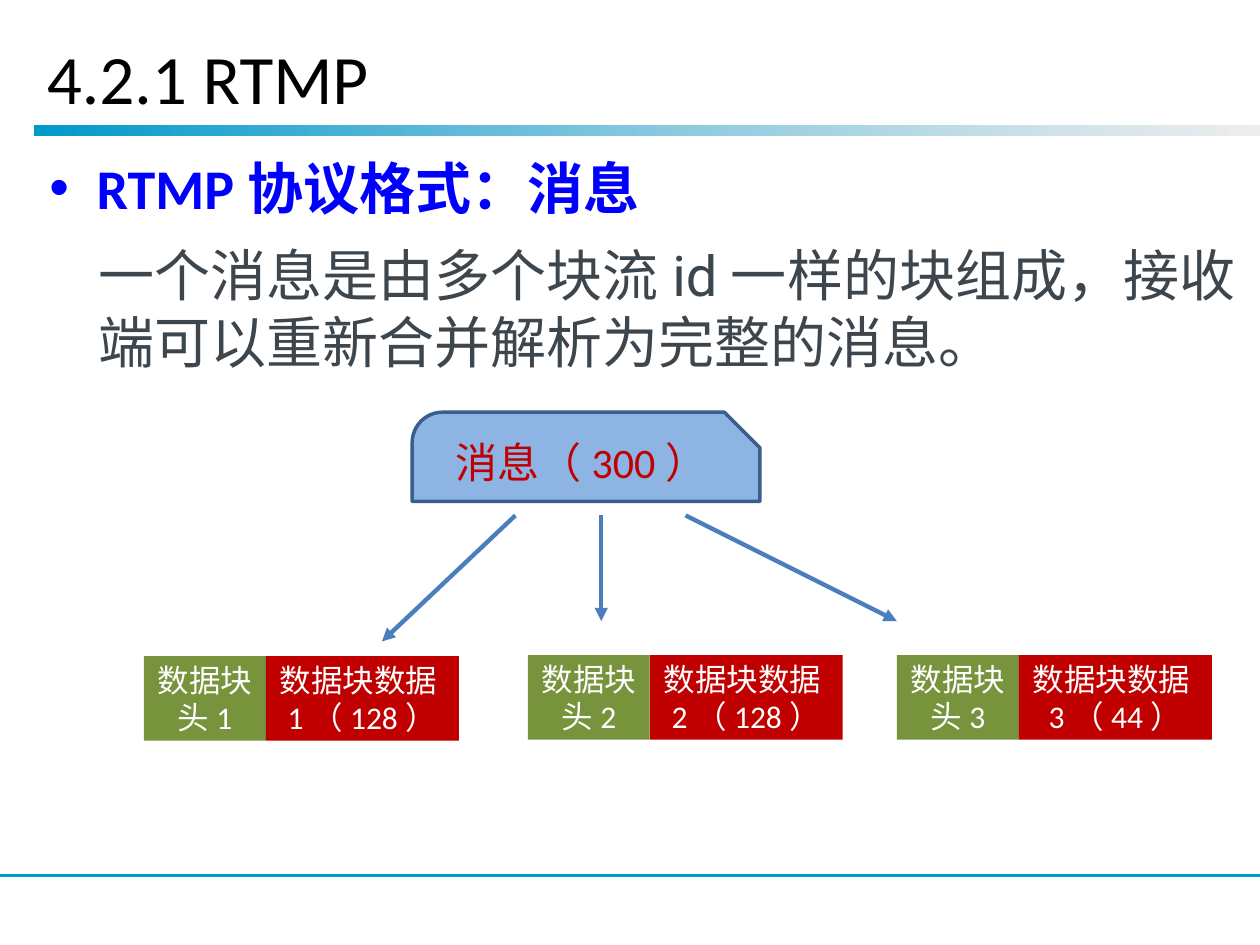
from lxml import etree
from pptx import Presentation
from pptx.dml.color import RGBColor
from pptx.enum.shapes import MSO_CONNECTOR, MSO_SHAPE
from pptx.enum.text import MSO_ANCHOR, MSO_AUTO_SIZE, PP_ALIGN
from pptx.oxml.ns import qn
from pptx.util import Cm, Pt

STRAIGHT = MSO_CONNECTOR.STRAIGHT
RECTANGLE = MSO_SHAPE.RECTANGLE
SNIP_ROUND = MSO_SHAPE.SNIP_ROUND_RECTANGLE
TOP, MIDDLE = MSO_ANCHOR.TOP, MSO_ANCHOR.MIDDLE
LEFT, CENTER = PP_ALIGN.LEFT, PP_ALIGN.CENTER
NO_AUTOFIT = MSO_AUTO_SIZE.NONE

COLORS = {
    "title": "000000",
    "heading": "0000FF",
    "body": "3D464D",
    "rule": "0099CC",
    "rule_end": "E8E8E8",
    "message": "8EB4E3",
    "message_line": "3A5F8C",
    "accent": "C00000",
    "header": "77933C",
    "arrow": "4B7EBC",
    "light": "FFFFFF",
}
BLOCKS = [
    (2.9, 13.23, "1", "128"),
    (10.64, 13.21, "2", "128"),
    (18.08, 13.21, "3", "44"),
]
ARROWS = [
    ((10.39, 10.39), (7.7, 12.93)),
    ((12.12, 10.39), (12.12, 12.52)),
    ((13.82, 10.39), (18.08, 12.52)),
]
HEADER_WIDTH, DATA_WIDTH, BLOCK_HEIGHT = 2.46, 3.89, 1.7


def rgb(name):
    return RGBColor.from_string(COLORS[name])


def write(holder, text, size, color, align=LEFT, anchor=TOP, font="Calibri", bold=False):
    frame = holder.text_frame
    frame.word_wrap = True
    frame.vertical_anchor = anchor
    frame.text = text
    paragraph = frame.paragraphs[0]
    paragraph.alignment = align
    paragraph.font.name = font
    paragraph.font.size = Pt(size)
    paragraph.font.bold = bold
    paragraph.font.color.rgb = rgb(color)
    return paragraph


def place(holder, left, top, width, height):
    holder.left, holder.top = Cm(left), Cm(top)
    holder.width, holder.height = Cm(width), Cm(height)
    holder.text_frame.auto_size = NO_AUTOFIT


def add_box(slide, kind, left, top, width, height, fill):
    box = slide.shapes.add_shape(kind, Cm(left), Cm(top), Cm(width), Cm(height))
    box.shadow.inherit = False
    box.fill.solid()
    box.fill.fore_color.rgb = rgb(fill)
    box.line.fill.background()
    return box


def add_line(slide, start, end, color, weight, arrow=False):
    line = slide.shapes.add_connector(STRAIGHT, *map(Cm, start + end))
    line.line.color.rgb = rgb(color)
    line.line.width = Pt(weight)
    etree.SubElement(line.element.spPr, qn("a:effectLst"))
    if arrow:
        etree.SubElement(line.line._get_or_add_ln(), qn("a:tailEnd"), type="triangle")


def add_title_rule(slide):
    rule = add_box(slide, RECTANGLE, 0.69, 2.53, 24.71, 0.2, "rule")
    rule.fill.gradient()
    rule.fill.gradient_angle = 0
    for stop, position, color in zip(rule.fill.gradient_stops, (0, 1), ("rule", "rule_end")):
        stop.position = position
        stop.color.rgb = rgb(color)
    end_color = rule.element.spPr.findall(".//" + qn("a:srgbClr"))[-1]
    etree.SubElement(end_color, qn("a:alpha"), val="74000")


def add_heading(slide):
    heading = slide.placeholders[1]
    place(heading, 0.74, 2.97, 24.38, 2.08)
    heading.text_frame.text = ""
    properties = heading.text_frame.paragraphs[0]._p.get_or_add_pPr()
    properties.set("marL", str(Cm(0.95)))
    properties.set("indent", str(-Cm(0.95)))
    etree.SubElement(properties, qn("a:buChar"), char="•")
    paragraph = write(heading, "RTMP协议格式：消息", 32, "heading", bold=True)
    paragraph.space_before = Pt(0)
    paragraph.space_after = Pt(6)


def add_explanation(slide):
    box = slide.shapes.add_textbox(Cm(1.73), Cm(4.72), Cm(24.18), Cm(3))
    write(box, "一个消息是由多个块流id一样的块组成，接收端可以重新合并解析为完整的消息。",
          32, "body", font="Roboto")


def add_message(slide):
    message = add_box(slide, SNIP_ROUND, 8.31, 8.31, 7.01, 1.8, "message")
    message.adjustments[0], message.adjustments[1] = 0.34, 0.4
    message.line.color.rgb = rgb("message_line")
    message.line.width = Pt(2)
    write(message, "消息（300）", 24, "accent", CENTER, MIDDLE)


def add_block(slide, left, top, number, size):
    header = add_box(slide, RECTANGLE, left, top, HEADER_WIDTH, BLOCK_HEIGHT, "header")
    write(header, f"数据块头{number}", 18, "light", CENTER, MIDDLE)
    data = add_box(slide, RECTANGLE, left + HEADER_WIDTH, top, DATA_WIDTH, BLOCK_HEIGHT, "accent")
    write(data, f"数据块数据{number}（{size}）", 18, "light", CENTER, MIDDLE)


def main():
    deck = Presentation()
    deck.slide_width, deck.slide_height = Cm(25.4), Cm(19.05)
    slide = deck.slides.add_slide(deck.slide_layouts[1])
    add_title_rule(slide)
    add_line(slide, (0, 17.65), (25.4, 17.65), "rule", 1.5)
    place(slide.shapes.title, 0.69, 0.56, 22.86, 1.96)
    write(slide.shapes.title, "4.2.1 RTMP", 39.6, "title", anchor=MIDDLE)
    add_heading(slide)
    add_explanation(slide)
    add_message(slide)
    for block in BLOCKS:
        add_block(slide, *block)
    for start, end in ARROWS:
        add_line(slide, start, end, "arrow", 2.5, arrow=True)
    deck.save("out.pptx")


if __name__ == "__main__":
    main()
